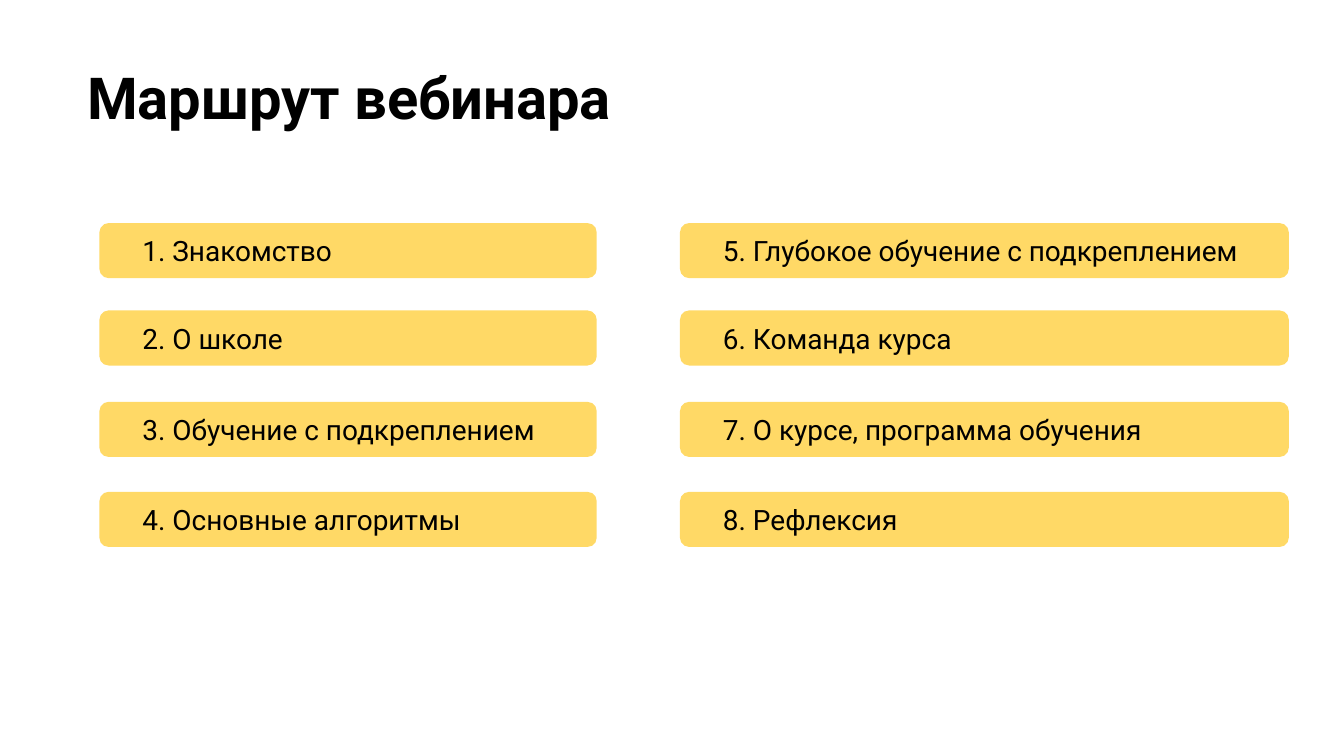
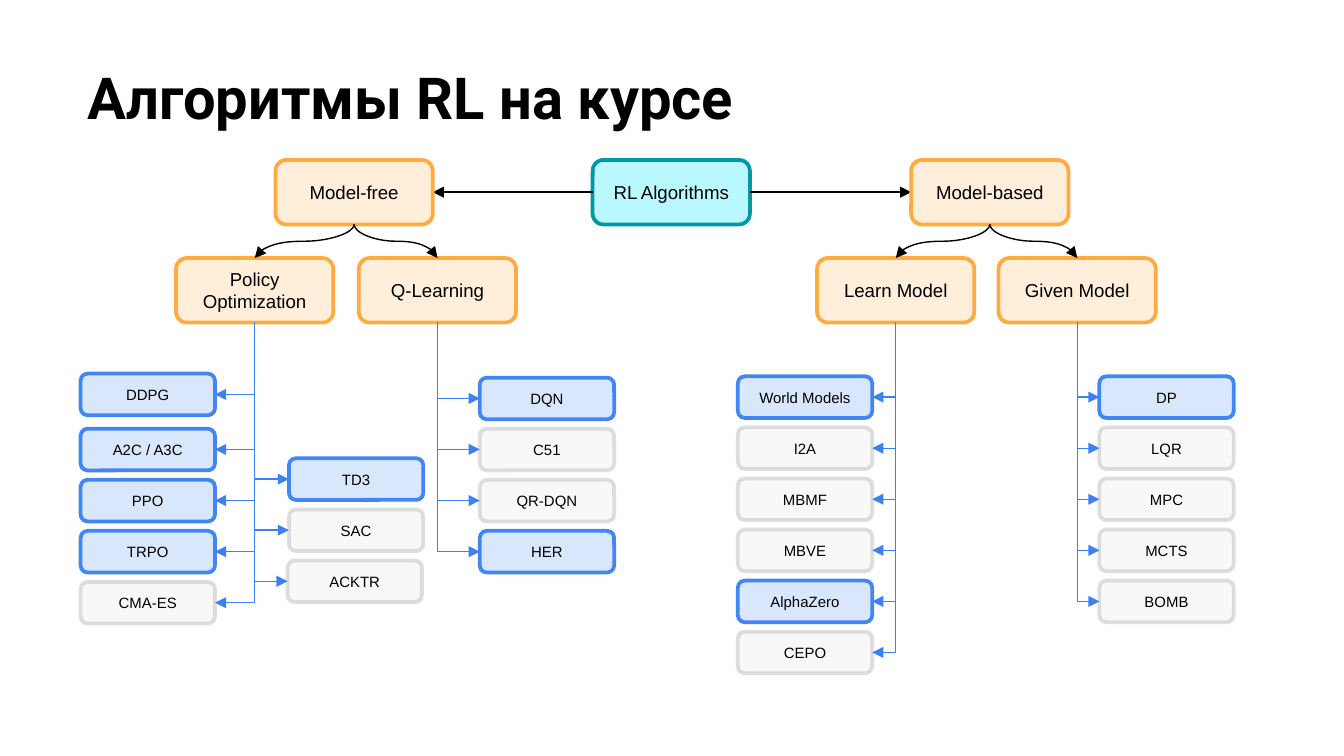
from dataclasses import dataclass

from lxml import etree
from pptx import Presentation
from pptx.dml.color import RGBColor
from pptx.enum.shapes import MSO_CONNECTOR, MSO_SHAPE
from pptx.enum.text import MSO_ANCHOR, PP_ALIGN
from pptx.oxml.ns import qn
from pptx.util import Inches, Pt

ROUNDED = MSO_SHAPE.ROUNDED_RECTANGLE
STRAIGHT, ELBOW, CURVE = MSO_CONNECTOR.STRAIGHT, MSO_CONNECTOR.ELBOW, MSO_CONNECTOR.CURVE
LEFT, CENTER = PP_ALIGN.LEFT, PP_ALIGN.CENTER
MIDDLE, TOP = MSO_ANCHOR.MIDDLE, MSO_ANCHOR.TOP


@dataclass(frozen=True)
class Theme:
    ink: str = "000000"
    agenda_fill: str = "FFD966"
    arrow: str = "3C81F3"
    heading_font: str = "Roboto"
    tree_font: str = "Arial"
    title_size: float = 31
    agenda_size: float = 15
    branch_size: float = 10
    leaf_size: float = 8
    border: float = 2
    thin: float = 0.75


THEME = Theme()


@dataclass(frozen=True)
class BoxStyle:
    fill: str
    line: str
    size: float
    width: float
    height: float
    opacity: int = 100


ROOT = BoxStyle("BAF8FF", "0097A7", THEME.branch_size, 1.17, 0.48)
BRANCH = BoxStyle("FFEED9", "FFAB40", THEME.branch_size, 1.17, 0.48)
COVERED = BoxStyle("D9E7FD", "4285F4", THEME.leaf_size, 1, 0.31)
SKIPPED = BoxStyle("F2F2F2", "BFBFBF", THEME.leaf_size, 1, 0.31, 50)


@dataclass(frozen=True)
class Node:
    text: str
    left: float
    top: float
    style: BoxStyle

    @property
    def center(self) -> float:
        return self.left + self.style.width / 2

    @property
    def right(self) -> float:
        return self.left + self.style.width

    @property
    def middle(self) -> float:
        return self.top + self.style.height / 2

    @property
    def bottom(self) -> float:
        return self.top + self.style.height


@dataclass(frozen=True)
class LeafColumn:
    parent: Node
    left: float
    top: float
    algorithms: tuple[str, ...]


@dataclass(frozen=True)
class AgendaColumn:
    left: float
    width: float
    topics: tuple[str, ...]


# Agenda content
AGENDA_TOPS = (1.66, 2.31, 2.99, 3.66)
AGENDA = (
    AgendaColumn(0.74, 3.7, ("1. Знакомство", "2. О школе",
                             "3. Обучение с подкреплением", "4. Основные алгоритмы")),
    AgendaColumn(5.06, 4.53, ("5. Глубокое обучение с подкреплением", "6. Команда курса",
                              "7. О курсе, программа обучения", "8. Рефлексия")),
)

# Algorithm tree content
RL_ALGORITHMS = Node("RL Algorithms", 4.41, 1.19, ROOT)
MODEL_FREE = Node("Model-free", 2.05, 1.19, BRANCH)
MODEL_BASED = Node("Model-based", 6.78, 1.19, BRANCH)
POLICY = Node("Policy Optimization", 1.31, 1.92, BRANCH)
Q_LEARNING = Node("Q-Learning", 2.67, 1.92, BRANCH)
LEARN_MODEL = Node("Learn Model", 6.08, 1.92, BRANCH)
GIVEN_MODEL = Node("Given Model", 7.43, 1.92, BRANCH)
FAMILIES = {MODEL_FREE: (POLICY, Q_LEARNING), MODEL_BASED: (LEARN_MODEL, GIVEN_MODEL)}

LEAF_PITCH = 0.38
LEAF_COLUMNS = (
    LeafColumn(POLICY, 0.6, 2.78, ("DDPG",)),
    LeafColumn(POLICY, 0.6, 3.19, ("A2C / A3C", "PPO", "TRPO", "CMA-ES")),
    LeafColumn(POLICY, 2.15, 3.41, ("TD3", "SAC")),
    LeafColumn(POLICY, 2.14, 4.17, ("ACKTR",)),
    LeafColumn(Q_LEARNING, 3.57, 2.81, ("DQN", "C51", "QR-DQN", "HER")),
    LeafColumn(LEARN_MODEL, 5.49, 2.8,
               ("World Models", "I2A", "MBMF", "MBVE", "AlphaZero", "CEPO")),
    LeafColumn(GIVEN_MODEL, 8.18, 2.8, ("DP", "LQR", "MPC", "MCTS", "BOMB")),
)
ON_COURSE = {"DDPG", "A2C / A3C", "PPO", "TRPO", "TD3", "DQN", "HER",
             "World Models", "AlphaZero", "DP"}


# Shared drawing helpers
def write(shape, text: str, size: float, font: str, align=LEFT, anchor=MIDDLE,
          inset: tuple[float, float] = (0.1, 0.05), bold: bool = False) -> None:
    frame = shape.text_frame
    frame.word_wrap = True
    frame.vertical_anchor = anchor
    frame.margin_left = frame.margin_right = Inches(inset[0])
    frame.margin_top = frame.margin_bottom = Inches(inset[1])
    paragraph = frame.paragraphs[0]
    paragraph.alignment = align
    run = paragraph.add_run()
    run.text = text
    run.font.size = Pt(size)
    run.font.name = font
    run.font.bold = bold
    run.font.color.rgb = RGBColor.from_string(THEME.ink)


def add_titled_slide(deck, title: str):
    slide = deck.slides.add_slide(deck.slide_layouts[6])
    heading = slide.shapes.add_textbox(Inches(0.55), Inches(0.36), Inches(9.32), Inches(1.07))
    write(heading, title, THEME.title_size, THEME.heading_font, anchor=TOP,
          inset=(0.1, 0.1), bold=True)
    return slide


def add_rounded(slide, left: float, top: float, width: float, height: float, fill: str):
    box = slide.shapes.add_shape(ROUNDED, Inches(left), Inches(top),
                                 Inches(width), Inches(height))
    box.shadow.inherit = False
    box.adjustments[0] = 0.167
    box.fill.solid()
    box.fill.fore_color.rgb = RGBColor.from_string(fill)
    box.line.fill.background()
    return box


def draw_node(slide, node: Node) -> None:
    style = node.style
    box = add_rounded(slide, node.left, node.top, style.width, style.height, style.fill)
    box.line.color.rgb = RGBColor.from_string(style.line)
    box.line.width = Pt(THEME.border)
    if style.opacity < 100:
        for color in box._element.spPr.iter(qn("a:srgbClr")):
            etree.SubElement(color, qn("a:alpha"), val=str(style.opacity * 1000))
    write(box, node.text, style.size, THEME.tree_font, CENTER)


def draw_arrow(slide, kind, begin: tuple[float, float], end: tuple[float, float], color: str):
    arrow = slide.shapes.add_connector(kind, *(Inches(v) for v in (*begin, *end)))
    arrow.line.color.rgb = RGBColor.from_string(color)
    arrow.line.width = Pt(THEME.thin)
    properties = arrow._element.spPr
    etree.SubElement(properties.find(qn("a:ln")), qn("a:tailEnd"), type="triangle")
    etree.SubElement(properties, qn("a:effectLst"))
    return arrow


def draw_drop(slide, kind, begin: tuple[float, float], end: tuple[float, float],
              color: str) -> None:
    """Arrow that leaves downwards: a quarter-turned connector about its centre."""
    (x1, y1), (x2, y2) = begin, end
    across, down = abs(x2 - x1), y2 - y1
    left, top = (x1 + x2 - down) / 2, (y1 + y2 - across) / 2
    near, far = (left, left + down) if x2 < x1 else (left + down, left)
    arrow = draw_arrow(slide, kind, (near, top), (far, top + across), color)
    properties = arrow._element.spPr
    turn = 90 if x2 < x1 else 270
    properties.find(qn("a:xfrm")).set("rot", str(turn * 60000))
    if kind == ELBOW:
        properties.find(qn("a:prstGeom")).set("prst", "bentConnector2")


# Slides
def build_agenda(deck) -> None:
    slide = add_titled_slide(deck, "Маршрут вебинара")
    for column in AGENDA:
        for top, topic in zip(AGENDA_TOPS, column.topics):
            bar = add_rounded(slide, column.left, top, column.width, 0.41, THEME.agenda_fill)
            write(bar, topic, THEME.agenda_size, THEME.heading_font, inset=(0.3, 0.1))


def build_tree(deck) -> None:
    slide = add_titled_slide(deck, "Алгоритмы RL на курсе")

    # Root and its two families
    draw_node(slide, RL_ALGORITHMS)
    level = RL_ALGORITHMS.middle
    draw_arrow(slide, STRAIGHT, (RL_ALGORITHMS.left, level), (MODEL_FREE.right, level), THEME.ink)
    draw_arrow(slide, STRAIGHT, (RL_ALGORITHMS.right, level), (MODEL_BASED.left, level), THEME.ink)
    for family, branches in FAMILIES.items():
        draw_node(slide, family)
        for branch in branches:
            draw_node(slide, branch)
            draw_drop(slide, CURVE, (family.center, family.bottom),
                      (branch.center, branch.top), THEME.ink)

    # Algorithms under each branch
    for column in LEAF_COLUMNS:
        parent = column.parent
        for row, name in enumerate(column.algorithms):
            style = COVERED if name in ON_COURSE else SKIPPED
            leaf = Node(name, column.left, column.top + row * LEAF_PITCH, style)
            draw_node(slide, leaf)
            edge = leaf.right if leaf.left < parent.left else leaf.left
            draw_drop(slide, ELBOW, (parent.center, parent.bottom),
                      (edge, leaf.middle), THEME.arrow)


def main() -> None:
    deck = Presentation()
    # Widescreen, 16:9
    deck.slide_width = Inches(10)
    deck.slide_height = Inches(10) * 9 // 16
    build_agenda(deck)
    build_tree(deck)
    deck.save("out.pptx")


if __name__ == "__main__":
    main()
